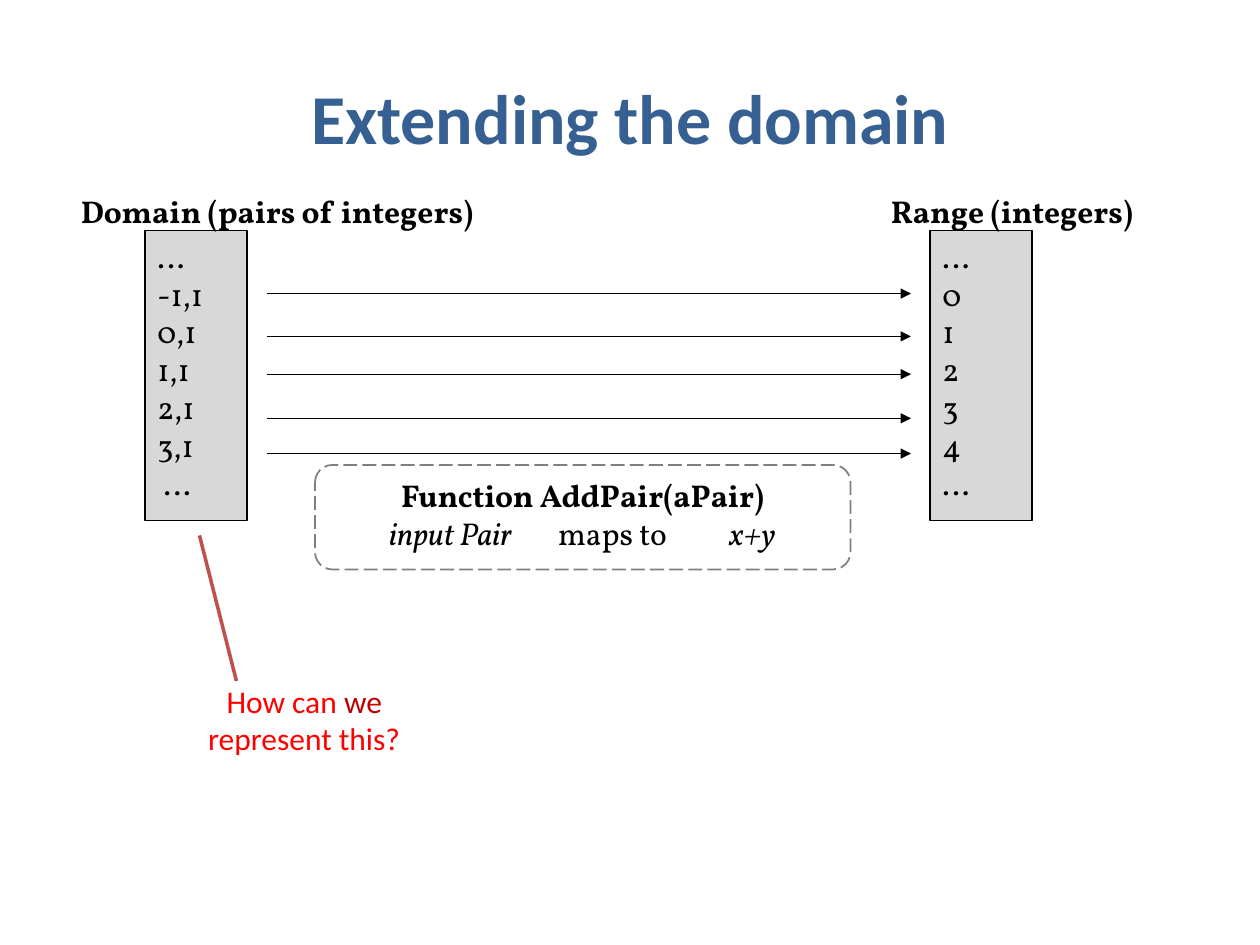
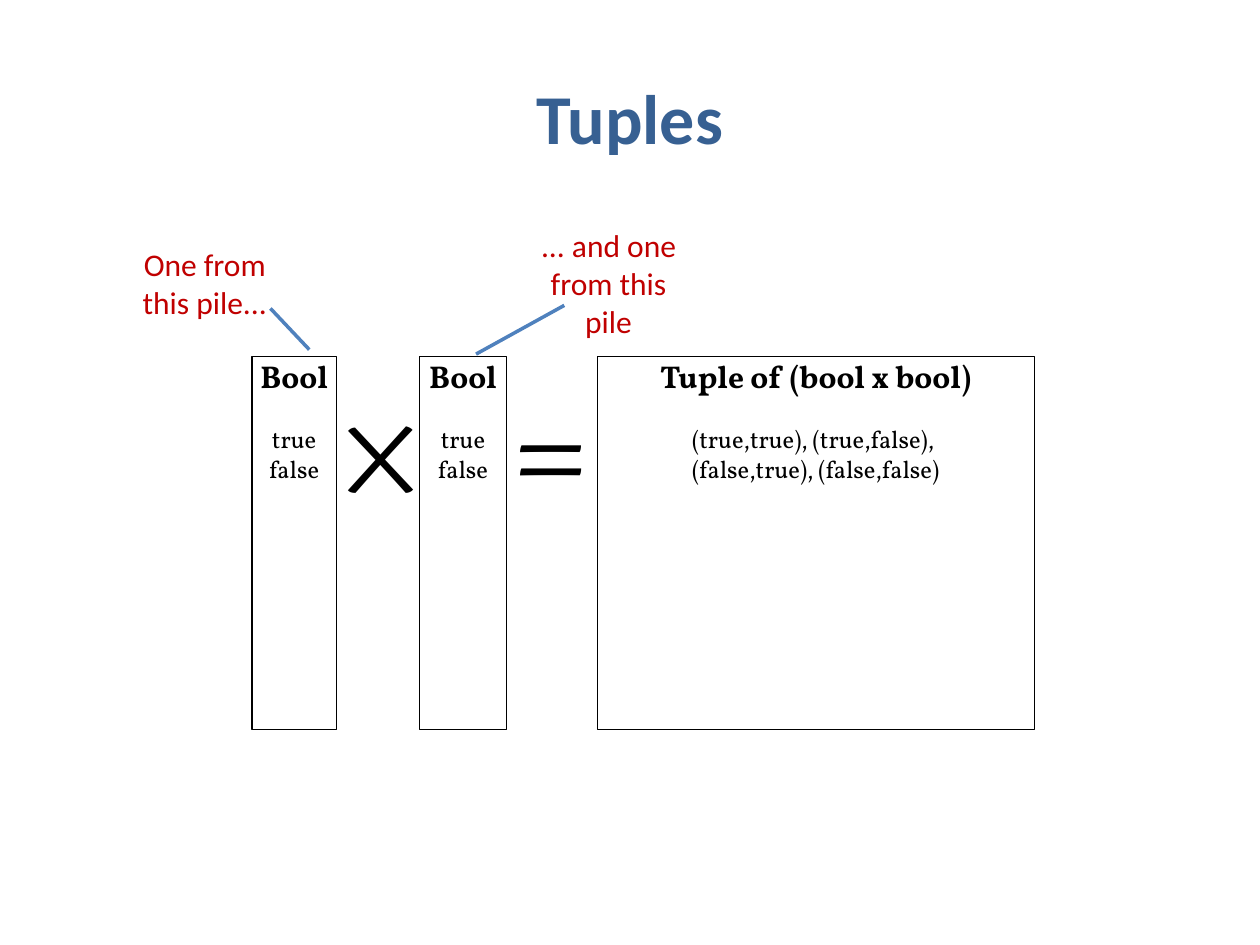
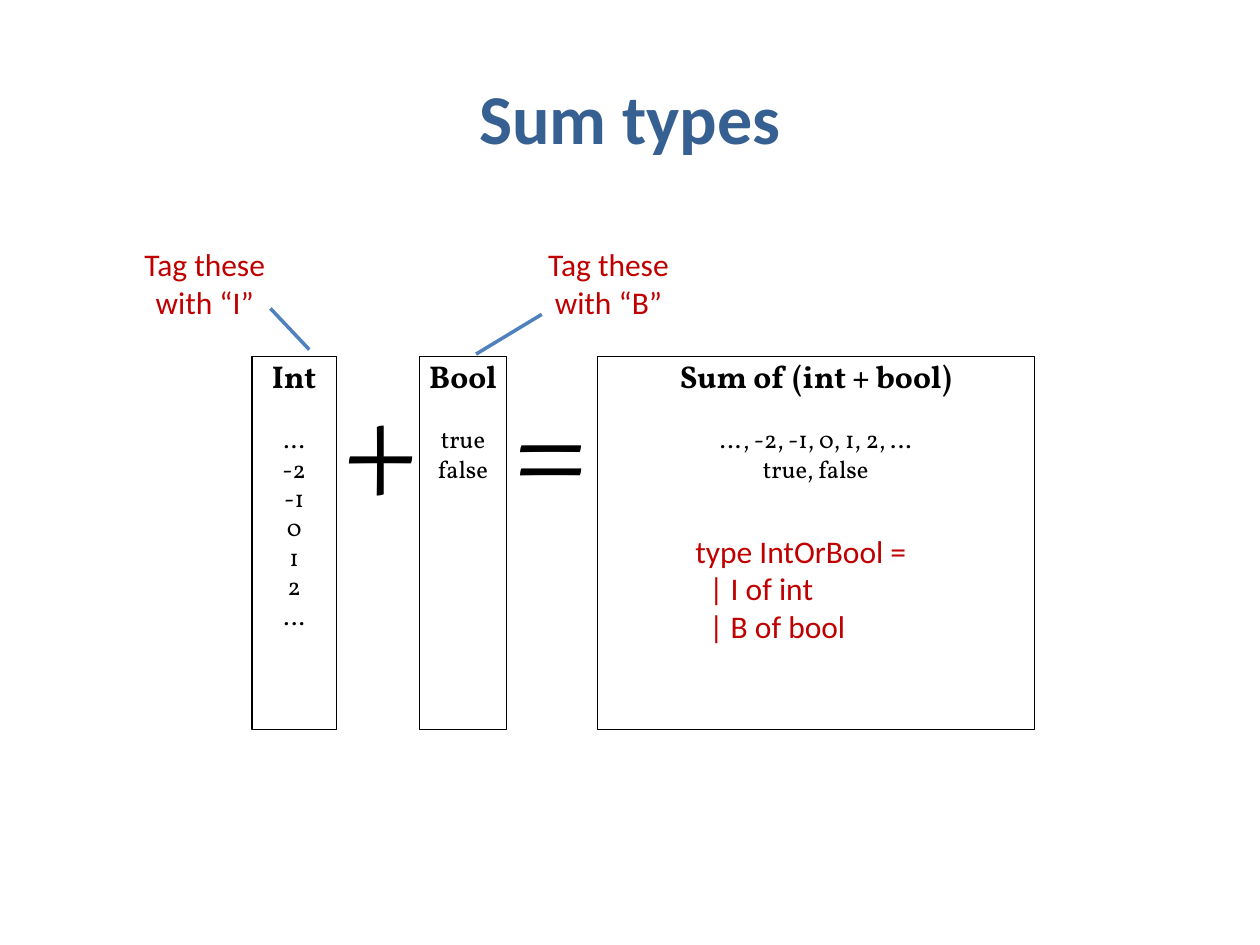
"""Build three slides on function domains, tuples and sum types."""
from dataclasses import dataclass
from typing import Optional

from lxml import etree
from pptx import Presentation
from pptx.dml.color import RGBColor
from pptx.enum.dml import MSO_LINE
from pptx.enum.shapes import MSO_CONNECTOR, MSO_SHAPE
from pptx.enum.text import MSO_ANCHOR, PP_ALIGN
from pptx.oxml.ns import qn
from pptx.util import Inches, Pt

RECT = MSO_SHAPE.RECTANGLE
ROUND = MSO_SHAPE.ROUNDED_RECTANGLE
CALLOUT = MSO_SHAPE.LINE_CALLOUT_1_NO_BORDER
STRAIGHT = MSO_CONNECTOR.STRAIGHT
LONG_DASH = MSO_LINE.LONG_DASH
LEFT, CENTER = PP_ALIGN.LEFT, PP_ALIGN.CENTER
TOP, MIDDLE = MSO_ANCHOR.TOP, MSO_ANCHOR.MIDDLE

SANS, SERIF = "Calibri", "Vollkorn"
BLACK, WHITE, LIGHT, GRAY = "000000", "FFFFFF", "D8D8D8", "7F7F7F"
TITLE, BLUE, BRICK, RED, DARK_RED = "376092", "4F81BD", "C0504D", "FF0000", "C00000"

DEFAULT_INSETS = (0.1, 0.05, 0.1, 0.05)
NO_INSETS = (0, 0, 0, 0)
PILE_TOP, PILE_HEIGHT = 2.83, 2.96
ARROW_LEFT, ARROW_RIGHT = 2.12, 7.23
ARROW_ROWS = (2.33, 2.67, 2.97, 3.32, 3.6)


@dataclass
class Box:
    """Position and size in inches."""
    left: float
    top: float
    width: float
    height: float

    def emu(self) -> tuple:
        """Return the four lengths for python-pptx."""
        return tuple(map(Inches, (self.left, self.top, self.width, self.height)))


@dataclass
class Pile:
    """A type with its heading and values."""
    heading: str
    values: list[str]


@dataclass
class Note:
    """A callout with its pointer adjustments."""
    box: Box
    text: str
    pointer: tuple
    line: str = BLUE


PILE_BOXES = (Box(2, PILE_TOP, 0.67, PILE_HEIGHT),
              Box(3.33, PILE_TOP, 0.69, PILE_HEIGHT),
              Box(4.74, PILE_TOP, 3.47, PILE_HEIGHT))
SIGN_LEFTS = (2.72, 4.07)
FIRST_NOTE, SECOND_NOTE = Box(1, 1.83, 1.25, 0.83), Box(4.08, 1.83, 1.5, 0.83)
FIRST_POINTER = (0.745, 0.917, 1.139, 1.164)
BOOL = Pile("Bool", ["true", "false"])


def rgb(color: str) -> RGBColor:
    """Turn a hex string into a colour."""
    return RGBColor.from_string(color)


def setup_frame(tf, insets: tuple = DEFAULT_INSETS, anchor=TOP):
    """Set wrapping, insets and anchor of a text frame."""
    tf.word_wrap = True
    tf.vertical_anchor = anchor
    tf.margin_left, tf.margin_top, tf.margin_right, tf.margin_bottom = map(Inches, insets)
    return tf


def add_text(tf, text: str, *, size: float = 18, font: str = SERIF, color: str = BLACK,
             bold: bool = False, italic: bool = False, align=LEFT, after: float = 0,
             indent: float = 0, tabs: tuple = (), join: bool = False) -> None:
    """Add text as a new paragraph, or join it to the last one."""
    p = tf.paragraphs[-1]
    if not join:
        if p.runs:
            p = tf.add_paragraph()
        p.alignment = align
        p.space_after = Pt(after)
        pPr = p._p.get_or_add_pPr()
        if indent:
            pPr.set("marL", str(Inches(indent)))
        if tabs:
            stops = etree.SubElement(pPr, qn("a:tabLst"))
            for pos in tabs:
                etree.SubElement(stops, qn("a:tab"), pos=str(Inches(pos)), algn="l")
    r = p.add_run()
    r.text = text
    r.font.size, r.font.name = Pt(size), font
    r.font.bold, r.font.italic = bold, italic
    r.font.color.rgb = rgb(color)


def add_textbox(s, box: Box, insets: tuple = DEFAULT_INSETS, anchor=TOP):
    """Add a text box and return its frame."""
    return setup_frame(s.shapes.add_textbox(*box.emu()).text_frame, insets, anchor)


def add_box(s, kind, box: Box, *, fill: Optional[str] = None, line: Optional[str] = None,
            weight: float = 0.75, insets: tuple = DEFAULT_INSETS, anchor=TOP):
    """Add a plain preset shape."""
    sp = s.shapes.add_shape(kind, *box.emu())
    sp.shadow.inherit = False
    if fill:
        sp.fill.solid()
        sp.fill.fore_color.rgb = rgb(fill)
    else:
        sp.fill.background()
    if line:
        sp.line.color.rgb = rgb(line)
        sp.line.width = Pt(weight)
    else:
        sp.line.fill.background()
    setup_frame(sp.text_frame, insets, anchor)
    return sp


def add_arrow(s, y: float) -> None:
    """Add a horizontal arrow from the domain to the range."""
    cx = s.shapes.add_connector(STRAIGHT, Inches(ARROW_LEFT), Inches(y),
                                Inches(ARROW_RIGHT), Inches(y))
    cx.line.color.rgb = rgb(BLACK)
    cx.line.width = Pt(0.75)
    etree.SubElement(cx.line._get_or_add_ln(), qn("a:tailEnd"), type="triangle")
    etree.SubElement(cx._element.spPr, qn("a:effectLst"))


def add_note(s, note: Note, color: str = DARK_RED):
    """Add a callout and return its text frame."""
    sp = add_box(s, CALLOUT, note.box, fill=WHITE, line=note.line, weight=2, anchor=MIDDLE)
    for i, value in enumerate(note.pointer):
        sp.adjustments[i] = value
    add_text(sp.text_frame, note.text, font=SANS, color=color, align=CENTER)
    return sp.text_frame


def add_slide(prs, title: str):
    """Add a blank slide with a title."""
    s = prs.slides.add_slide(prs.slide_layouts[6])
    tf = add_textbox(s, Box(0.5, 0.3, 9, 1.25), anchor=MIDDLE)
    add_text(tf, title, size=40, font=SANS, color=TITLE, bold=True, align=CENTER)
    return s


def add_set(s, left: float, values: list[str], label: str, label_box: Box) -> None:
    """Add a labelled column of values."""
    sp = add_box(s, RECT, Box(left, 1.83, 0.81, 2.3), fill=LIGHT, line=BLACK)
    for value in values:
        add_text(sp.text_frame, value)
    sp = add_box(s, ROUND, label_box, insets=NO_INSETS)
    add_text(sp.text_frame, label, bold=True)


def add_equation(s, piles: list[Pile], signs: str, notes: list[Note]) -> None:
    """Add two piles, their combination, the signs and the callouts."""
    for box, pile in zip(PILE_BOXES, piles):
        sp = add_box(s, RECT, box, fill=WHITE, line=BLACK, insets=(0.02, 0, 0.02, 0))
        add_text(sp.text_frame, pile.heading, bold=True, align=CENTER, after=17)
        for value in pile.values:
            add_text(sp.text_frame, value, size=14, align=CENTER)
    for left, sign in zip(SIGN_LEFTS, signs):
        tf = add_textbox(s, Box(left, PILE_TOP, 0.59, PILE_HEIGHT), NO_INSETS)
        add_text(tf, sign, size=80)
    for note in notes:
        add_note(s, note)


def domain_slide(prs) -> None:
    """Build the slide that maps pairs to integers."""
    s = add_slide(prs, "Extending the domain")
    sp = add_box(s, ROUND, Box(2.5, 3.69, 4.25, 0.83), line=GRAY, weight=1)
    sp.line.dash_style = LONG_DASH
    tf = sp.text_frame
    add_text(tf, "Function AddPair(aPair)", bold=True, align=CENTER)
    add_text(tf, "\tinput Pair", italic=True, tabs=(0.45, 1.79, 3.15))
    add_text(tf, "\tmaps to", join=True)
    add_text(tf, "\tx+y", italic=True, join=True)
    add_set(s, 1.15, ["…", "-1,1", "0,1", "1,1", "2,1", "3,1", " …"],
            "Domain (pairs of integers)", Box(0.62, 1.5, 3.88, 0.43))
    add_set(s, 7.38, ["…", "0", "1", "2", "3", "4", "…"],
            "Range (integers)", Box(7.05, 1.5, 2.53, 0.43))
    for y in ARROW_ROWS:
        add_arrow(s, y)
    tf = add_note(s, Note(Box(1.33, 5.25, 2.17, 0.92), "How can ",
                          (0.169, 0.252, -1.088, 0.117), BRICK), RED)
    add_text(tf, "we", font=SANS, color=DARK_RED, join=True)
    add_text(tf, " represent this?", font=SANS, color=RED, join=True)


def tuples_slide(prs) -> None:
    """Build the slide on tuples."""
    s = add_slide(prs, "Tuples")
    product = Pile("Tuple of (bool x bool)",
                   ["(true,true), (true,false), ", "(false,true), (false,false)"])
    add_equation(s, [BOOL, BOOL, product], "×=", [
        Note(FIRST_NOTE, "One from this pile...", FIRST_POINTER),
        Note(SECOND_NOTE, "... and one from this pile", (0.716, 0.266, 1.182, -0.201))])


def sum_types_slide(prs) -> None:
    """Build the slide on sum types."""
    s = add_slide(prs, "Sum types")
    ints = Pile("Int", ["...", "-2", "-1", "0", "1", "2", "…"])
    total = Pile("Sum of (int + bool)", ["…, -2, -1, 0, 1, 2, …", "true, false"])
    add_equation(s, [ints, BOOL, total], "+=", [
        Note(FIRST_NOTE, "Tag these with “I”", FIRST_POINTER),
        Note(SECOND_NOTE, "Tag these with “B”", (0.802, 0.147, 1.182, -0.201))])
    tf = add_textbox(s, Box(5.42, 4.17, 2.67, 1.01))
    add_text(tf, "type IntOrBool =", font=SANS, color=DARK_RED)
    for case in ("| I of int", "| B of bool"):
        add_text(tf, case, font=SANS, color=DARK_RED, indent=0.11)


def main() -> None:
    """Build and save the presentation."""
    prs = Presentation()
    prs.slide_width, prs.slide_height = Inches(10), Inches(7.5)
    domain_slide(prs)
    tuples_slide(prs)
    sum_types_slide(prs)
    prs.save("out.pptx")


main()
